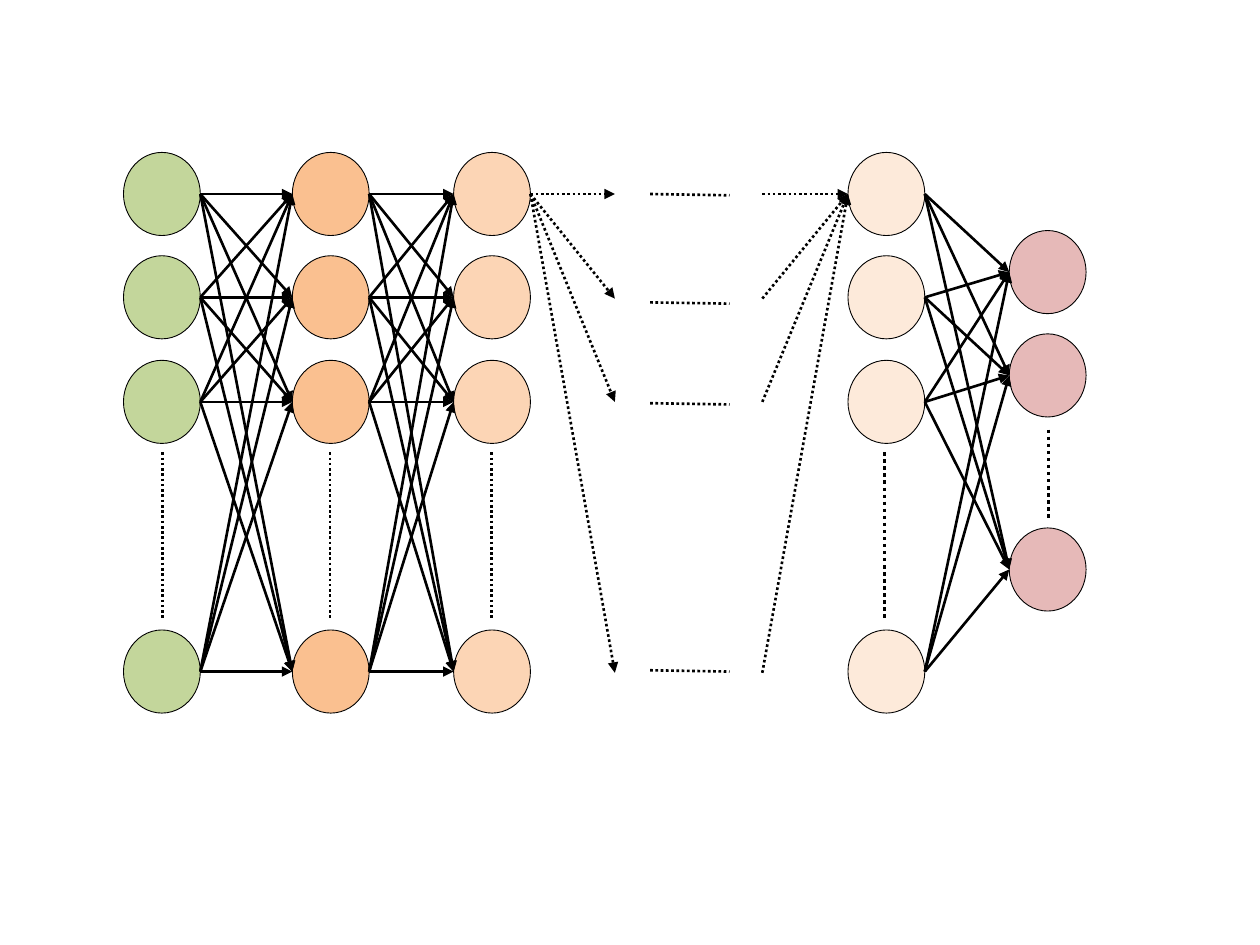
import itertools

import pptx
import pptx.dml.color
import pptx.enum.dml
import pptx.enum.shapes
import pptx.oxml
import pptx.oxml.ns
import pptx.util

Inches = pptx.util.Inches
NODE_WIDTH, NODE_HEIGHT = 0.61, 0.66
BLACK = "000000"

# Vertical centres of the nodes in each kind of layer
DEEP_ROWS = (1.54, 2.36, 3.19, 5.33)
OUTPUT_ROWS = (2.16, 2.98, 4.52)

# Left edge, fill, row centres, and the dotted line: x, top, bottom, width
LAYERS = {
    "input": (0.98, "C3D69B", DEEP_ROWS, (1.29, 3.59, 4.91, 1.5)),
    "hidden_1": (2.32, "FAC090", DEEP_ROWS, (2.62, 3.59, 4.91, 1.5)),
    "hidden_2": (3.6, "FCD5B5", DEEP_ROWS, (3.9, 3.59, 4.91, 1.5)),
    "hidden_last": (6.73, "FDEADA", DEEP_ROWS, (7.02, 3.59, 4.91, 2)),
    "output": (8.01, "E6B9B8", OUTPUT_ROWS, (8.32, 3.41, 4.12, 2)),
}


def color(hex_string):
    return pptx.dml.color.RGBColor.from_string(hex_string)


def add_line(page, start, end, width=1.5, dotted=False, arrow=False):
    line = page.shapes.add_connector(
        pptx.enum.shapes.MSO_CONNECTOR.STRAIGHT,
        *(Inches(value) for value in (*start, *end)))
    line.line.color.rgb = color(BLACK)
    line.line.width = pptx.util.Pt(width)
    if dotted:
        line.line.dash_style = pptx.enum.dml.MSO_LINE.ROUND_DOT
    if arrow:
        tail = pptx.oxml.parse_xml(
            f'<a:tailEnd {pptx.oxml.ns.nsdecls("a")} type="triangle"/>')
        line.line._get_or_add_ln().append(tail)
    properties = line._element.spPr
    properties.append(pptx.oxml.parse_xml(
        f'<a:effectLst {pptx.oxml.ns.nsdecls("a")}/>'))


def add_layer(page, left, fill, rows, dots):
    """Draw a column of nodes; return its left and right anchor points."""
    for row in rows:
        node = page.shapes.add_shape(
            pptx.enum.shapes.MSO_SHAPE.OVAL, Inches(left),
            Inches(row - NODE_HEIGHT / 2),
            Inches(NODE_WIDTH), Inches(NODE_HEIGHT))
        node.shadow.inherit = False
        node.fill.solid()
        node.fill.fore_color.rgb = color(fill)
        node.line.color.rgb = color(BLACK)
        node.line.width = pptx.util.Pt(0.5)
    x, top, bottom, width = dots
    add_line(page, (x, top), (x, bottom), width, dotted=True)
    return ([(left, row) for row in rows],
            [(left + NODE_WIDTH, row) for row in rows])


def connect(page, starts, ends, dotted=False):
    """Draw an arrow from every start to every end."""
    for start, end in itertools.product(starts, ends):
        add_line(page, start, end, dotted=dotted, arrow=True)


def add_omitted_layers(page, start, end):
    """Draw the dotted fan out, the gap lines and the dotted fan in."""
    fan_rows = (1.54, 2.37, 3.19, 5.34)
    connect(page, [start], [(4.88, row) for row in fan_rows], dotted=True)
    connect(page, [(6.05, row) for row in fan_rows], [end], dotted=True)
    for row in (1.54, 2.4, 3.2, 5.32):
        add_line(page, (5.16, row), (5.79, row + 0.01), dotted=True)


def main():
    deck = pptx.Presentation()
    deck.slide_width, deck.slide_height = Inches(10), Inches(7.5)
    page = deck.slides.add_slide(deck.slide_layouts[6])

    # Layers of nodes
    anchors = {name: add_layer(page, *layer) for name, layer in LAYERS.items()}

    # Fully connected neighbours
    for source, target in (("input", "hidden_1"), ("hidden_1", "hidden_2"),
                           ("hidden_last", "output")):
        connect(page, anchors[source][1], anchors[target][0])

    # Layers left out between the second and the last hidden layer
    add_omitted_layers(page, anchors["hidden_2"][1][0],
                       anchors["hidden_last"][0][0])
    deck.save("out.pptx")


if __name__ == "__main__":
    main()
